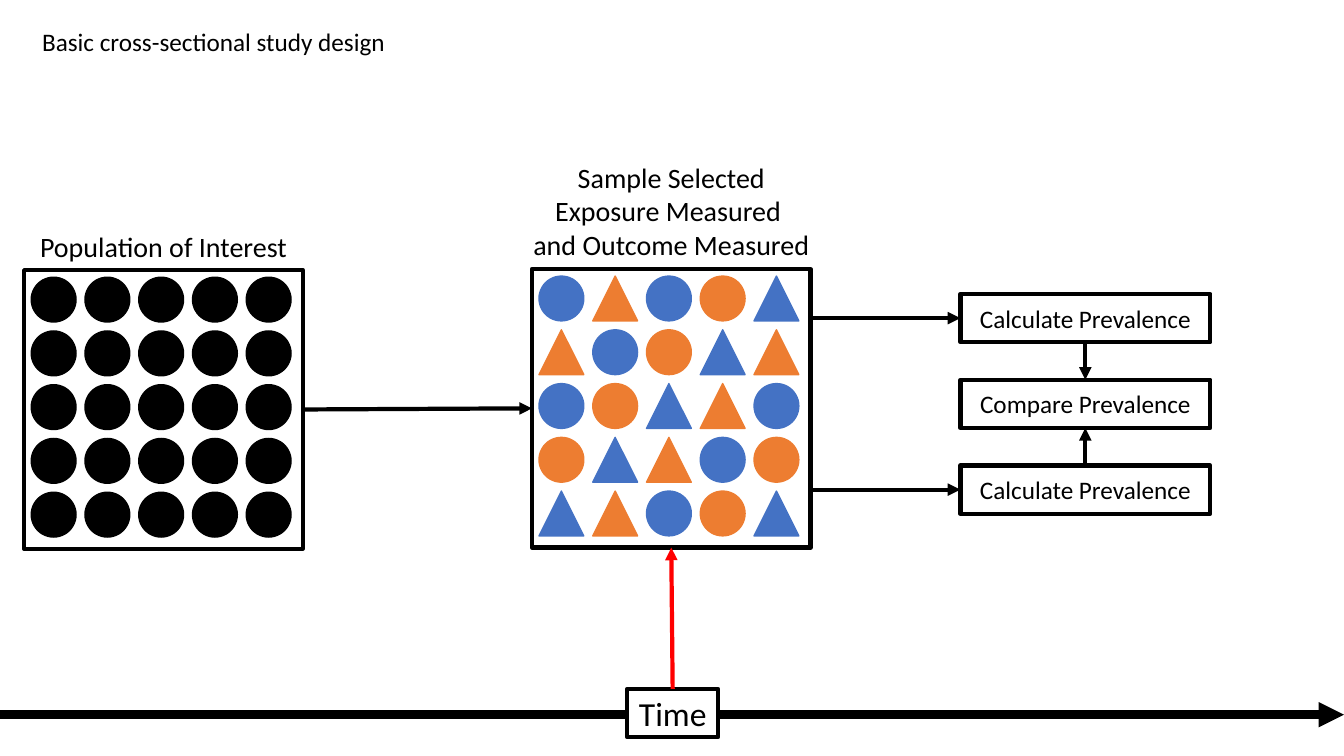
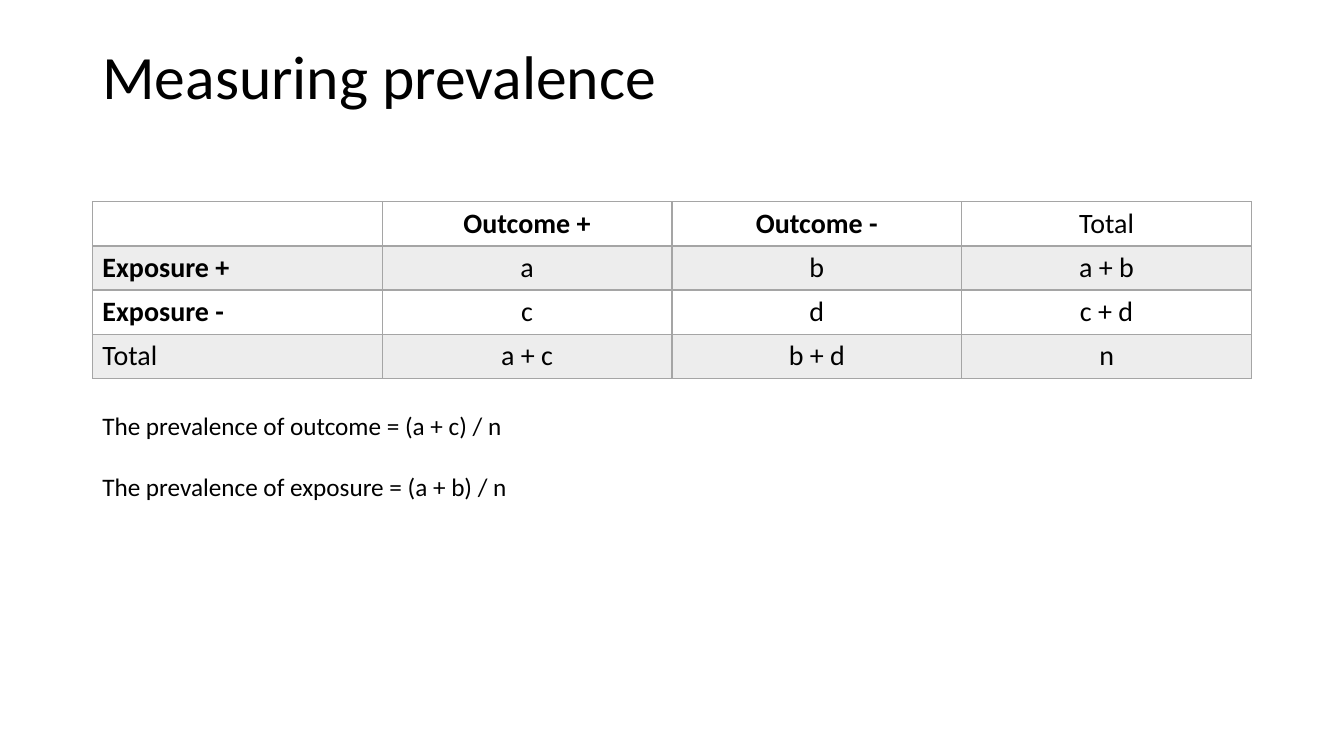
from collections import namedtuple
from dataclasses import dataclass

from lxml import etree
from pptx import Presentation
from pptx.dml.color import RGBColor
from pptx.enum import shapes, text
from pptx.oxml import ns
from pptx.util import Pt


@dataclass(frozen=True)
class Theme:
    font: str = "Calibri"
    black: str = "000000"
    white: str = "FFFFFF"
    blue: str = "4472C4"
    orange: str = "ED7D31"
    red: str = "FF0000"
    border: str = "A5A5A5"
    band: str = "EDEDED"
    title: int = 44
    time: int = 24
    label: int = 20
    body: int = 18
    frame: int = 3
    axis: int = 6


THEME = Theme()
PAGE_WIDTH, PAGE_HEIGHT = 960, 540
CIRCLE, TRIANGLE = shapes.MSO_SHAPE.OVAL, shapes.MSO_SHAPE.ISOSCELES_TRIANGLE
LEFT, CENTER = text.PP_ALIGN.LEFT, text.PP_ALIGN.CENTER
MIDDLE = text.MSO_ANCHOR.MIDDLE

# Two letters a person: colour (b, o, k) and shape (c circle, t triangle).
COLOURS = {"b": THEME.blue, "o": THEME.orange, "k": THEME.black}
OUTLINES = {"c": CIRCLE, "t": TRIANGLE}
SAMPLE = [
    "bc ot bc oc bt",
    "ot bc oc bt ot",
    "bc oc bt ot bc",
    "oc bt ot bc oc",
    "bt ot bc oc bt",
]
POPULATION = ["kc kc kc kc kc"] * 5

PREVALENCE_TABLE = [
    ["", "Outcome +", "Outcome -", "Total"],
    ["Exposure +", "a", "b", "a + b"],
    ["Exposure -", "c", "d", "c + d"],
    ["Total", "a + c", "b + d", "n"],
]


class Box(namedtuple("Box", "left top width height")):
    @property
    def right(self):
        return self.left + self.width

    @property
    def bottom(self):
        return self.top + self.height

    @property
    def center(self):
        return self.left + self.width / 2

    @property
    def middle(self):
        return self.top + self.height / 2

    def points(self):
        return [Pt(length) for length in self]


def rgb(colour):
    return RGBColor.from_string(colour)


def write(frame, lines, size, align=LEFT, bold=False, gap=0):
    """Fill a text frame with one paragraph a line, gap points apart."""
    for index, line in enumerate(lines):
        para = frame.paragraphs[0] if index == 0 else frame.add_paragraph()
        para.alignment = align
        if index and gap:
            para.space_before = Pt(gap)
        span = para.add_run()
        span.text = line
        span.font.name = THEME.font
        span.font.size = Pt(size)
        span.font.bold = bold
        span.font.color.rgb = rgb(THEME.black)


def add_text(parent, box, lines, size, align=LEFT, wrap=True, gap=0):
    frame = parent.add_textbox(*box.points()).text_frame
    frame.word_wrap = wrap
    write(frame, lines, size, align, gap=gap)
    return frame


def add_figure(parent, outline, box, fill, line, weight):
    figure = parent.add_shape(outline, *box.points())
    figure.shadow.inherit = False
    if fill:
        figure.fill.solid()
        figure.fill.fore_color.rgb = rgb(fill)
    else:
        figure.fill.background()
    figure.line.color.rgb = rgb(line)
    figure.line.width = Pt(weight)
    return figure


def add_framed_text(parent, box, caption, size, fill=None):
    figure = add_figure(parent, shapes.MSO_SHAPE.RECTANGLE, box, fill,
                        THEME.black, THEME.frame)
    frame = figure.text_frame
    frame.word_wrap = True
    frame.vertical_anchor = MIDDLE
    write(frame, [caption], size, CENTER)


def add_arrow(parent, start, end, colour=THEME.black, weight=THEME.frame):
    arrow = parent.add_connector(shapes.MSO_CONNECTOR.STRAIGHT,
                                 *[Pt(length) for length in (*start, *end)])
    arrow.line.color.rgb = rgb(colour)
    arrow.line.width = Pt(weight)
    properties = arrow.line._get_or_add_ln()
    etree.SubElement(properties, ns.qn("a:tailEnd"), type="triangle")
    etree.SubElement(arrow._element.spPr, ns.qn("a:effectLst"))


def add_people(page, box, people, caption):
    """Group a framed grid of people with its caption above."""
    group = page.shapes.add_group_shape().shapes
    add_figure(group, shapes.MSO_SHAPE.RECTANGLE, box, None,
               THEME.black, THEME.frame)
    size, pitch, inset = 32, 38.4, 5
    for row, line in enumerate(people):
        for column, (colour, outline) in enumerate(line.split()):
            place = Box(box.left + inset + column * pitch,
                        box.top + inset + row * pitch, size, size)
            add_figure(group, OUTLINES[outline], place, COLOURS[colour],
                       COLOURS[colour], 1)
    height = 7.2 + 24.4 * len(caption)
    label = Box(box.left - 8, box.top - height - 1, box.width + 16, height)
    add_text(group, label, caption, THEME.label, CENTER, wrap=False)


def add_results(page, box, source):
    """Stack the three prevalence steps in box, fed from the source box."""
    height = 34.5
    step = (box.height - height) / 2
    captions = ["Calculate Prevalence", "Compare Prevalence",
                "Calculate Prevalence"]
    places = [Box(box.left, box.top + row * step, box.width, height)
              for row in range(len(captions))]
    for place, caption in zip(places, captions):
        add_framed_text(page.shapes, place, caption, THEME.body)
    first, compare, last = places
    for place in (first, last):
        add_arrow(page.shapes, (source.right, place.middle),
                  (place.left, place.middle))
    add_arrow(page.shapes, (first.center, first.bottom),
              (compare.center, compare.top))
    add_arrow(page.shapes, (last.center, last.top),
              (compare.center, compare.bottom))


def add_timeline(page, box, target):
    """Draw the time axis behind box and point from box to the target."""
    add_arrow(page.shapes, (0, 510.5), (PAGE_WIDTH, 510.5),
              weight=THEME.axis)
    add_framed_text(page.shapes, box, "Time", THEME.time, THEME.white)
    add_arrow(page.shapes, (box.center, box.top),
              (target.center, target.bottom), THEME.red)


def design_slide(page):
    population = Box(17.3, 193, 199, 199)
    sample = Box(380, 192.2, 199, 199)
    add_text(page.shapes, Box(23, 15, 262, 29),
             ["Basic cross-sectional study design"], THEME.body, wrap=False)
    add_people(page, population, POPULATION, ["Population of Interest"])
    add_people(page, sample, SAMPLE,
               ["Sample Selected", "Exposure Measured ",
                "and Outcome Measured"])
    add_arrow(page.shapes, (population.right, population.middle),
              (sample.left, sample.middle))
    add_results(page, Box(686, 210, 178.5, 157), sample)
    add_timeline(page, Box(448, 492, 65, 34.5), sample)


def set_borders(cell, weights):
    properties = cell._tc.get_or_add_tcPr()
    for side, weight in weights.items():
        line = etree.SubElement(properties, ns.qn(f"a:ln{side}"),
                                w=str(Pt(weight)))
        fill = etree.SubElement(line, ns.qn("a:solidFill"))
        etree.SubElement(fill, ns.qn("a:srgbClr"), val=THEME.border)


def add_prevalence_table(page, box):
    rows, columns = len(PREVALENCE_TABLE), len(PREVALENCE_TABLE[0])
    table = page.shapes.add_table(rows, columns, *box.points()).table
    for row, values in enumerate(PREVALENCE_TABLE):
        for column, value in enumerate(values):
            cell = table.cell(row, column)
            set_borders(cell, {"L": 1, "R": 1, "T": 2 if row == 1 else 1,
                               "B": 2 if row == 0 else 1})
            if row % 2:
                cell.fill.solid()
                cell.fill.fore_color.rgb = rgb(THEME.band)
            else:
                cell.fill.background()
            heading = value.startswith(("Outcome", "Exposure"))
            if value:
                write(cell.text_frame, [value], THEME.label,
                      CENTER if column else LEFT, heading)


def prevalence_slide(page):
    left, width = 66, 828
    title = add_text(page.shapes, Box(left, 29, width, 56),
                     ["Measuring prevalence"], THEME.title)
    title.vertical_anchor = MIDDLE
    title.paragraphs[0].line_spacing = 0.9
    add_prevalence_table(page, Box(left, 144, width, 126.4))
    add_text(page.shapes, Box(left, 289.5, width, 73),
             ["The prevalence of outcome = (a + c) / n",
              "The prevalence of exposure = (a + b) / n"],
             THEME.body, gap=22)


def main():
    deck = Presentation()
    deck.slide_width, deck.slide_height = Pt(PAGE_WIDTH), Pt(PAGE_HEIGHT)
    for build in (design_slide, prevalence_slide):
        build(deck.slides.add_slide(deck.slide_layouts[6]))
    deck.save("out.pptx")


if __name__ == "__main__":
    main()
